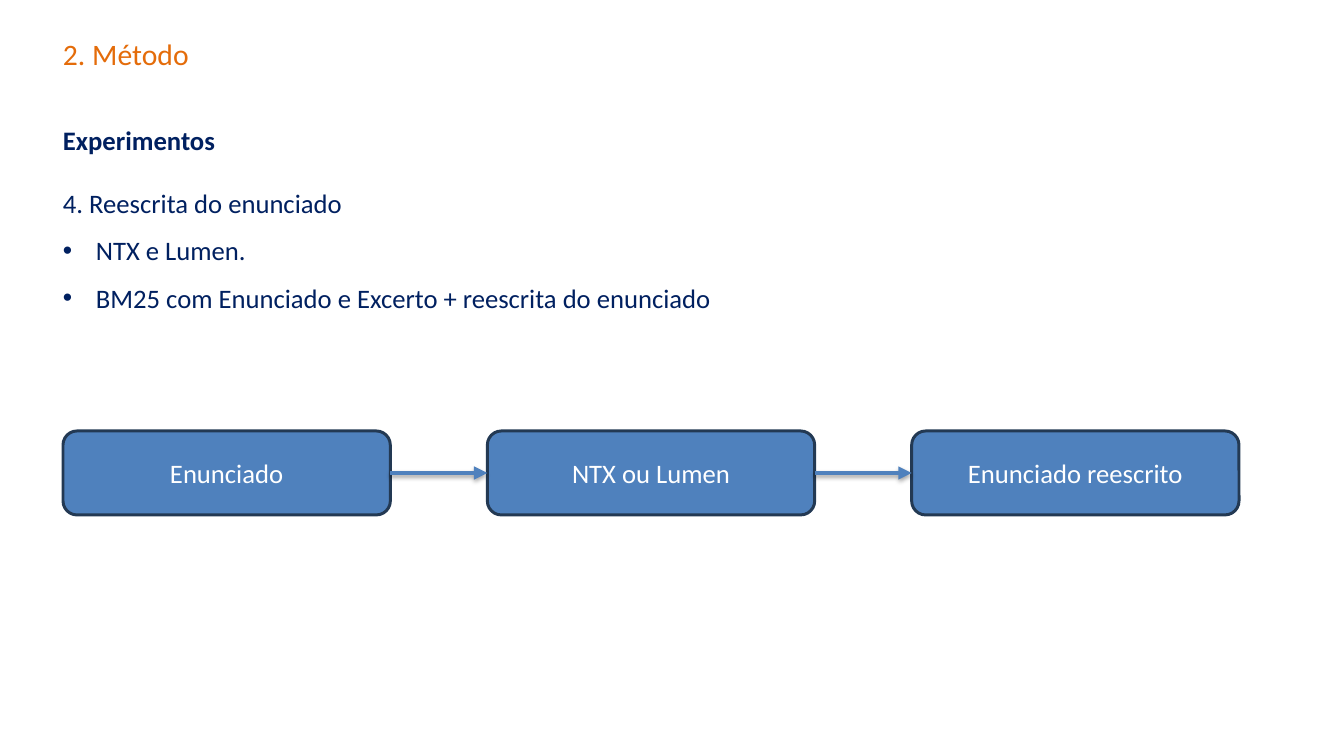
from lxml import etree
from pptx import Presentation
from pptx.dml.color import RGBColor
from pptx.enum.shapes import MSO_CONNECTOR, MSO_SHAPE
from pptx.enum.text import MSO_ANCHOR, PP_ALIGN
from pptx.oxml.ns import qn
from pptx.util import Emu, Pt

EMU_PER_PX = 8572.5
FONT = "Calibri"
COLORS = {
    "title": "E46C0A",
    "body": "002060",
    "step": "4F81BD",
    "step_line": "233953",
    "step_text": "FFFFFF",
    "shadow": "000000",
}
RIGHT_SITE, LEFT_SITE = 3, 1


def px(length):
    return Emu(round(length * EMU_PER_PX))


def rgb(name):
    return RGBColor.from_string(COLORS[name])


def add_child(parent, tag, **attributes):
    child = etree.SubElement(parent, qn(tag))
    for name, value in attributes.items():
        child.set(name, str(value))
    return child


def write_text(paragraph, text, color, size=18, bold=False, align=PP_ALIGN.LEFT,
               line=None, after=None, bullet=False):
    paragraph.alignment = align
    if line:
        paragraph.line_spacing = Pt(line)
    if after:
        paragraph.space_after = Pt(after)
    if bullet:
        indent = px(33)
        properties = paragraph._p.get_or_add_pPr()
        properties.set("marL", str(indent))
        properties.set("indent", str(-indent))
        add_child(properties, "a:buFont", typeface="Arial")
        add_child(properties, "a:buChar", char="•")
    run = paragraph.add_run()
    run.text = text
    run.font.name = FONT
    run.font.size = Pt(size)
    run.font.bold = bold
    run.font.color.rgb = rgb(color)


def add_text_block(slide, box, lines):
    """Place (text, format) lines in a text box without margins."""
    frame = slide.shapes.add_textbox(*map(px, box)).text_frame
    frame.word_wrap = True
    frame.margin_left = frame.margin_right = 0
    frame.margin_top = frame.margin_bottom = 0
    for index, (text, style) in enumerate(lines):
        paragraph = frame.add_paragraph() if index else frame.paragraphs[0]
        write_text(paragraph, text, line=20, after=12, **style)


def add_step(slide, box, label):
    shape = slide.shapes.add_shape(MSO_SHAPE.ROUNDED_RECTANGLE, *map(px, box))
    shape.shadow.inherit = False
    shape.fill.solid()
    shape.fill.fore_color.rgb = rgb("step")
    shape.line.color.rgb = rgb("step_line")
    shape.line.width = Pt(2)
    frame = shape.text_frame
    frame.word_wrap = True
    frame.vertical_anchor = MSO_ANCHOR.MIDDLE
    write_text(frame.paragraphs[0], label, "step_text", align=PP_ALIGN.CENTER)
    return shape


def add_arrow(slide, start, end):
    connector = slide.shapes.add_connector(MSO_CONNECTOR.STRAIGHT, 0, 0, 0, 0)
    connector.begin_connect(start, RIGHT_SITE)
    connector.end_connect(end, LEFT_SITE)
    connector.line.color.rgb = rgb("step")
    connector.line.width = Pt(3)
    properties = connector._element.spPr
    add_child(properties.find(qn("a:ln")), "a:tailEnd", type="triangle")
    effects = add_child(properties, "a:effectLst")
    shadow = add_child(effects, "a:outerShdw", blurRad=Pt(3.1), dist=Pt(1.8),
                       dir=90 * 60000, rotWithShape=0)
    color = add_child(shadow, "a:srgbClr", val=COLORS["shadow"])
    add_child(color, "a:alpha", val=35000)


def add_flow(slide, box, labels, gap):
    """Share the box among equal steps and link each to the next."""
    left, top, width, height = box
    step_width = (width - gap * (len(labels) - 1)) / len(labels)
    steps = [
        add_step(slide, (left + index * (step_width + gap), top, step_width, height), label)
        for index, label in enumerate(labels)
    ]
    for start, end in zip(steps, steps[1:]):
        add_arrow(slide, start, end)


def main():
    presentation = Presentation()
    presentation.slide_width = px(1344)
    presentation.slide_height = px(756)
    slide = presentation.slides.add_slide(presentation.slide_layouts[6])

    left, width = 63, 1218
    body = {"color": "body"}
    item = {**body, "bullet": True}
    add_text_block(slide, (left, 42, width, 42),
                   [("2. Método", {"color": "title", "size": 20})])
    add_text_block(slide, (left, 126, width, 63),
                   [("Experimentos", {**body, "bold": True})])
    add_text_block(slide, (left, 189, width, 483), [
        ("4. Reescrita do enunciado", body),
        ("NTX e Lumen.", item),
        ("BM25 com Enunciado e Excerto + reescrita do enunciado", item),
    ])
    add_flow(slide, (left, 431, 1176, 84),
             ["Enunciado", "NTX ou Lumen", "Enunciado reescrito"], gap=97)
    presentation.save("out.pptx")


if __name__ == "__main__":
    main()
